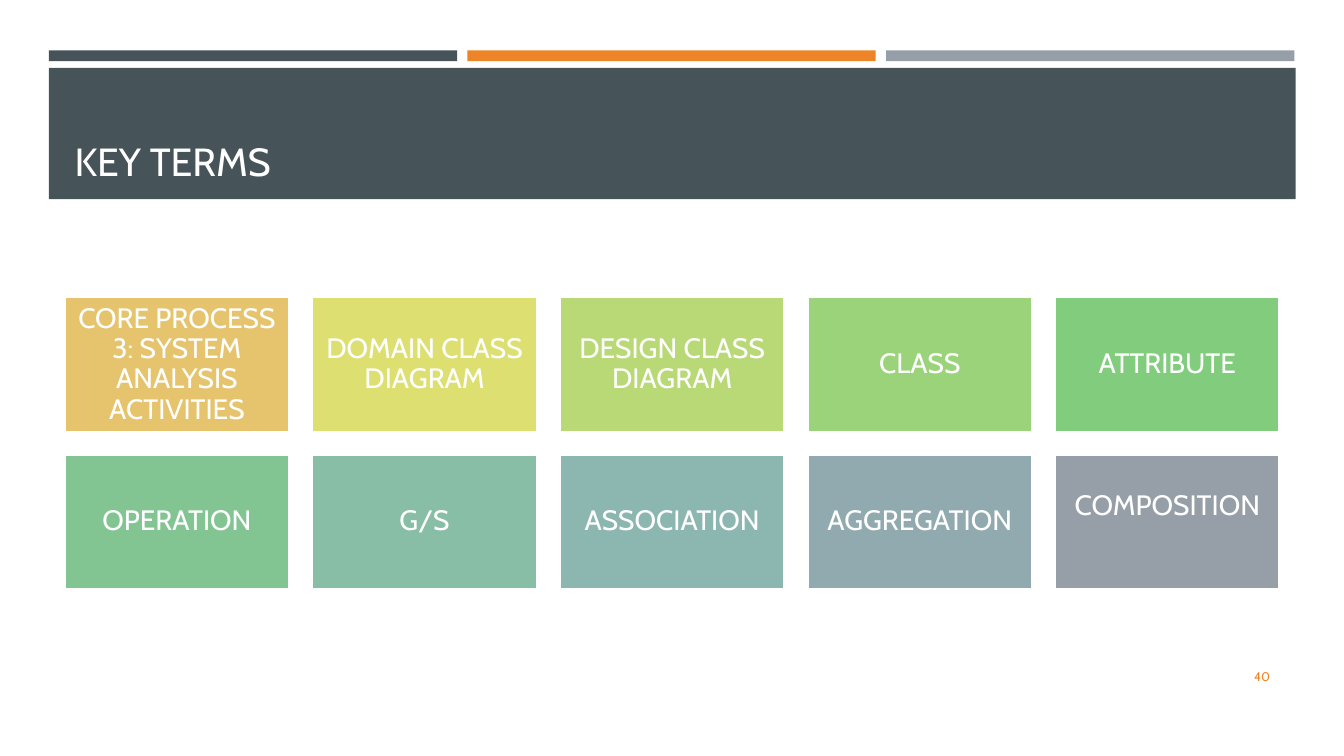
from pptx import Presentation
from pptx.dml.color import RGBColor
from pptx.enum.shapes import MSO_SHAPE
from pptx.enum.text import MSO_ANCHOR as Anchor, PP_ALIGN as Align
from pptx.util import Cm, Pt

FONT = "Cabin"
SLATE, ORANGE, GRAY, WHITE = "465359", "ED8428", "969FA7", "FFFFFF"

COLUMNS = 5
TILE_LEFT, TILE_TOP = 1.63, 7.49
TILE_WIDTH, TILE_HEIGHT = 5.66, 3.4
COLUMN_STEP, ROW_STEP = 6.24, 3.96
TILE_INSET, RAISED_INSET = 0.2, 1.0

TERMS = [
    ("CORE PROCESS 3: SYSTEM ANALYSIS ACTIVITIES", "E6C46D"),
    ("DOMAIN CLASS DIAGRAM", "DDE071"),
    ("DESIGN CLASS DIAGRAM", "B8D975"),
    ("CLASS", "9AD379"),
    ("ATTRIBUTE", "82CC7E"),
    ("OPERATION", "82C593"),
    ("G/S", "87BEA5"),
    ("ASSOCIATION", "8CB6B0"),
    ("AGGREGATION", "91AAAF"),
    ("COMPOSITION", GRAY),
]


def rgb(color):
    return RGBColor.from_string(color)


def add_rectangle(slide, left, top, width, height, color):
    shape = slide.shapes.add_shape(
        MSO_SHAPE.RECTANGLE, Cm(left), Cm(top), Cm(width), Cm(height))
    shape.shadow.inherit = False
    shape.fill.solid()
    shape.fill.fore_color.rgb = rgb(color)
    shape.line.fill.background()
    return shape


def write_text(shape, text, size, color, align, anchor):
    frame = shape.text_frame
    frame.word_wrap = True
    frame.vertical_anchor = anchor
    paragraph = frame.paragraphs[0]
    paragraph.text = text
    paragraph.alignment = align
    paragraph.font.name = FONT
    paragraph.font.size = Pt(size)
    paragraph.font.color.rgb = rgb(color)
    return paragraph


def add_label(slide, left, top, width, height, *text_style):
    box = slide.shapes.add_textbox(Cm(left), Cm(top), Cm(width), Cm(height))
    write_text(box, *text_style)


def add_tile(slide, left, top, term, color, bottom_inset):
    tile = add_rectangle(slide, left, top, TILE_WIDTH, TILE_HEIGHT, color)
    tile.line.color.rgb = rgb(WHITE)
    tile.line.width = Pt(1.75)
    paragraph = write_text(tile, term, 20, WHITE, Align.CENTER, Anchor.MIDDLE)
    paragraph.line_spacing = 0.9
    frame = tile.text_frame
    frame.margin_left = frame.margin_right = frame.margin_top = Cm(TILE_INSET)
    frame.margin_bottom = Cm(bottom_inset)


def add_header(slide):
    for index, color in enumerate((SLATE, ORANGE, GRAY)):
        add_rectangle(slide, 1.23 + index * 10.55, 1.27, 10.29, 0.27, color)
    add_rectangle(slide, 1.23, 1.71, 31.42, 3.31, SLATE)
    add_label(slide, 1.63, 1.96, 30.63, 2.82,
              "KEY TERMS", 28, "FFFEFF", Align.LEFT, Anchor.BOTTOM)


def add_term_grid(slide):
    for index, (term, color) in enumerate(TERMS):
        row, column = divmod(index, COLUMNS)
        # The last term sits above the middle of its tile.
        is_last = index == len(TERMS) - 1
        add_tile(slide, TILE_LEFT + column * COLUMN_STEP,
                 TILE_TOP + row * ROW_STEP, term, color,
                 RAISED_INSET if is_last else TILE_INSET)


def main():
    presentation = Presentation()
    presentation.slide_width = Cm(33.87)
    presentation.slide_height = Cm(19.05)
    slide = presentation.slides.add_slide(presentation.slide_layouts[6])
    add_header(slide)
    add_term_grid(slide)
    add_label(slide, 29.34, 16.54, 2.92, 1.02,
              "40", 9, ORANGE, Align.RIGHT, Anchor.MIDDLE)
    presentation.save("out.pptx")


if __name__ == "__main__":
    main()
